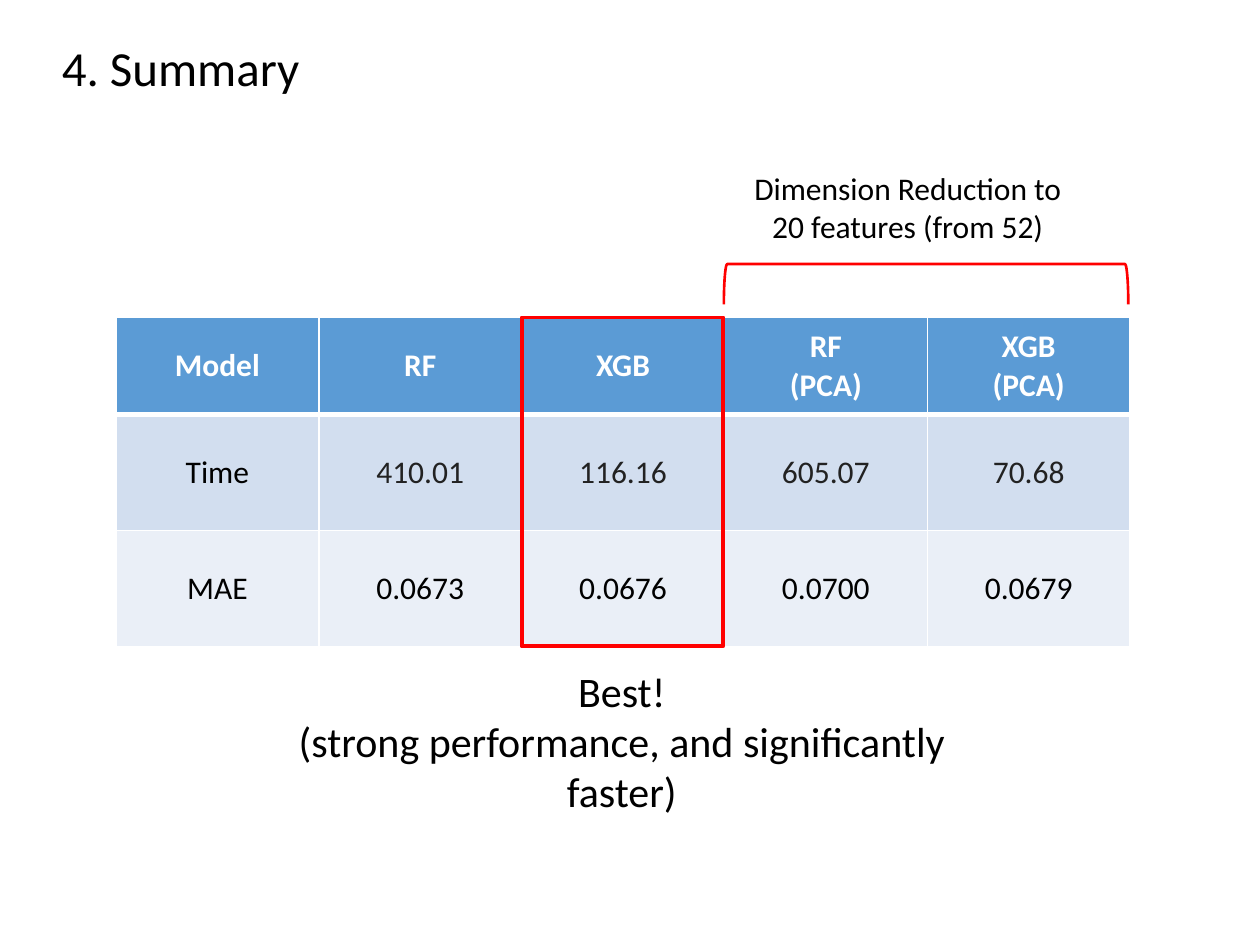
from lxml import etree
from pptx import Presentation
from pptx.dml.color import RGBColor
from pptx.enum import shapes, text
from pptx.oxml import ns
from pptx.util import Inches, Pt

BLACK = RGBColor(0x00, 0x00, 0x00)
WHITE = RGBColor(0xFF, 0xFF, 0xFF)
DARK_GREY = RGBColor(0x22, 0x22, 0x22)
RED = RGBColor(0xFF, 0x00, 0x00)
HEADER_BLUE = RGBColor(0x5B, 0x9B, 0xD5)
BAND_DARK = RGBColor(0xD2, 0xDE, 0xEF)
BAND_LIGHT = RGBColor(0xEA, 0xEF, 0xF7)

TABLE_LEFT, TABLE_TOP = 0.92, 2.52
COLUMN_WIDTH = 1.61
ROW_HEIGHTS = [0.77, 0.92, 0.92]
ROWS = [
    ["Model", "RF", "XGB", "RF\n(PCA)", "XGB\n(PCA)"],
    ["Time", "410.01", "116.16", "605.07", "70.68"],
    ["MAE", "0.0673", "0.0676", "0.0700", "0.0679"],
]
ROW_FILLS = [HEADER_BLUE, BAND_DARK, BAND_LIGHT]
ROW_COLORS = [WHITE, DARK_GREY, BLACK]


def write_text(frame, content, size, color, align, bold=False):
    frame.text = content
    for paragraph in frame.paragraphs:
        paragraph.alignment = align
        paragraph.font.name = "Calibri"
        paragraph.font.size = Pt(size)
        paragraph.font.bold = bold
        paragraph.font.color.rgb = color


def add_border(cell, side, width):
    properties = cell._tc.get_or_add_tcPr()
    line = etree.SubElement(properties, ns.qn("a:ln" + side), w=str(Pt(width)))
    fill = etree.SubElement(line, ns.qn("a:solidFill"))
    etree.SubElement(fill, ns.qn("a:srgbClr"), val=str(WHITE))


presentation = Presentation()
presentation.slide_width = Inches(10)
presentation.slide_height = Inches(7.5)
slide = presentation.slides.add_slide(presentation.slide_layouts[5])

# Title
title = slide.shapes.title
title.left, title.top = Inches(0.39), Inches(0.25)
title.width, title.height = Inches(4.95), Inches(0.57)
write_text(title.text_frame, "4. Summary", 28, BLACK, text.PP_ALIGN.LEFT)
title.text_frame.vertical_anchor = text.MSO_ANCHOR.TOP
title.text_frame.auto_size = text.MSO_AUTO_SIZE.NONE

# Results table
table = slide.shapes.add_table(
    len(ROWS), len(ROWS[0]), Inches(TABLE_LEFT), Inches(TABLE_TOP),
    Inches(COLUMN_WIDTH * len(ROWS[0])), Inches(sum(ROW_HEIGHTS))).table
for column in table.columns:
    column.width = Inches(COLUMN_WIDTH)
for row, values in enumerate(ROWS):
    table.rows[row].height = Inches(ROW_HEIGHTS[row])
    for column, value in enumerate(values):
        cell = table.cell(row, column)
        color = BLACK if row and column == 0 else ROW_COLORS[row]
        write_text(cell.text_frame, value, 18, color, text.PP_ALIGN.CENTER, row == 0)
        cell.vertical_anchor = text.MSO_ANCHOR.MIDDLE
        for side in "LRTB":
            under_header = (row, side) in [(0, "B"), (1, "T")]
            add_border(cell, side, 3 if under_header else 1)
        cell.fill.solid()
        cell.fill.fore_color.rgb = ROW_FILLS[row]

# Bracket over the PCA columns and frame around the best model
for kind, left, top, width, height, rotation, weight in [
    (shapes.MSO_SHAPE.RIGHT_BRACKET, 7.19, 0.65, 0.32, 3.21, 270, 1.5),
    (shapes.MSO_SHAPE.RECTANGLE, 4.14, TABLE_TOP, 1.6, sum(ROW_HEIGHTS), 0, 2.25),
]:
    shape = slide.shapes.add_shape(
        kind, Inches(left), Inches(top), Inches(width), Inches(height))
    shape.rotation = rotation
    shape.shadow.inherit = False
    shape.fill.background()
    shape.line.color.rgb = RED
    shape.line.width = Pt(weight)

# Captions
for content, left, top, width, height, size in [
    ("Dimension Reduction to 20 features (from 52)", 5.74, 1.29, 2.93, 0.71, 18),
    ("Best!\n(strong performance, and significantly faster)", 2.2, 5.23, 5.47, 1.31, 24),
]:
    caption = slide.shapes.add_textbox(
        Inches(left), Inches(top), Inches(width), Inches(height))
    caption.text_frame.word_wrap = True
    write_text(caption.text_frame, content, size, BLACK, text.PP_ALIGN.CENTER)

presentation.save("out.pptx")
